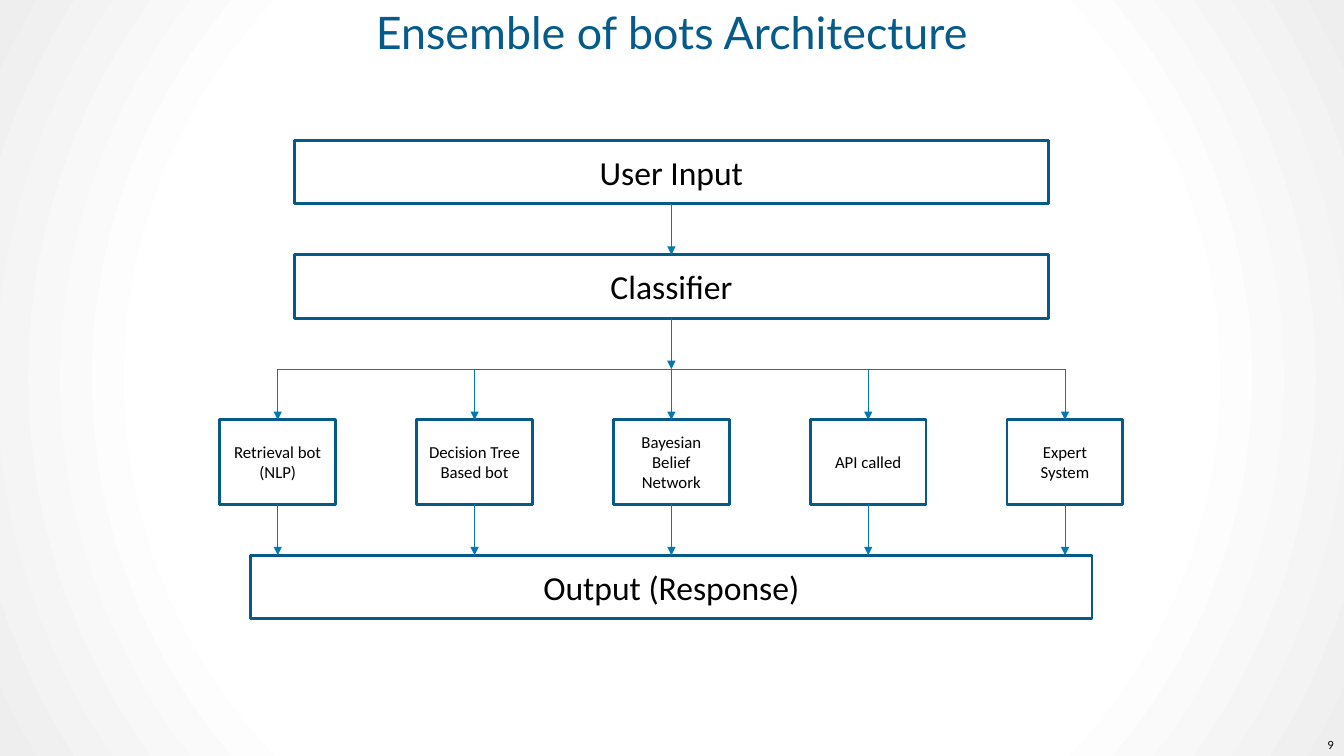
import lxml.etree
import pptx
import pptx.dml.color
import pptx.enum.shapes
import pptx.enum.text
import pptx.oxml.ns
import pptx.util

Cm = pptx.util.Cm
Pt = pptx.util.Pt
qn = pptx.oxml.ns.qn
ANCHOR = pptx.enum.text.MSO_ANCHOR
ALIGN = pptx.enum.text.PP_ALIGN

TITLE = "Ensemble of bots Architecture"
PAGE_NUMBER = "9"
INPUT, CLASSIFIER, OUTPUT = "User Input", "Classifier", "Output (Response)"
BOTS = [
    "Retrieval bot\n(NLP)",
    "Decision Tree Based bot",
    "Bayesian Belief Network",
    "API called",
    "Expert System",
]
BACKGROUND_STOPS = [(0.67, "FFFFFF"), (1, "EEEEEE")]
BOX_LINE, ARROW_LINE = "055A87", "0378B7"

TITLE_FORMAT = {"name": "Lato", "size": Pt(32), "color": "055B89"}
NUMBER_FORMAT = {"name": "Lato", "size": Pt(8), "color": "000000"}
STAGE_FORMAT = {"name": "Calibri", "size": Pt(24), "color": "000000"}
BOT_FORMAT = {"name": "Calibri", "size": Pt(12), "color": "000000"}

# All lengths below are centimetres
SLIDE_WIDTH, SLIDE_HEIGHT = 33.87, 19.05
CENTER = 16.92
STAGE_WIDTH, OUTPUT_WIDTH, STAGE_HEIGHT = 19, 21.2, 1.6
BOT_WIDTH, BOT_HEIGHT, BOT_PITCH = 2.92, 2.13, 4.96
GAP = 1.28

INPUT_TOP = 3.54
CLASSIFIER_TOP = INPUT_TOP + STAGE_HEIGHT + GAP
BUS_TOP = CLASSIFIER_TOP + STAGE_HEIGHT + GAP
BOT_TOP = BUS_TOP + GAP
OUTPUT_TOP = BOT_TOP + BOT_HEIGHT + GAP
BOT_CENTERS = [CENTER + (i - (len(BOTS) - 1) / 2) * BOT_PITCH for i in range(len(BOTS))]


def rgb(color):
    return pptx.dml.color.RGBColor.from_string(color)


def paint_background(slide):
    """Fill the slide with a gradient that spreads in circles from its middle."""
    fill = slide.background.fill
    fill.gradient()
    for stop, (position, color) in zip(fill.gradient_stops, BACKGROUND_STOPS):
        stop.position = position
        stop.color.rgb = rgb(color)
    linear = next(slide.element.iter(qn("a:lin")))
    gradient = linear.getparent()
    circle = lxml.etree.SubElement(gradient, qn("a:path"), {"path": "circle"})
    lxml.etree.SubElement(circle, qn("a:fillToRect"), dict.fromkeys("ltrb", "50000"))
    gradient.replace(linear, circle)


def write_text(shape, text, text_format, alignment, anchor):
    frame = shape.text_frame
    frame.word_wrap = True
    frame.vertical_anchor = anchor
    frame.text = text
    for paragraph in frame.paragraphs:
        paragraph.alignment = alignment
        for name, value in text_format.items():
            if name == "color":
                paragraph.font.color.rgb = rgb(value)
            else:
                setattr(paragraph.font, name, value)


def add_label(slide, place, text, text_format, alignment, anchor):
    label = slide.shapes.add_textbox(*map(Cm, place))
    write_text(label, text, text_format, alignment, anchor)


def add_box(slide, center, top, width, height, text, text_format):
    box = slide.shapes.add_shape(
        pptx.enum.shapes.MSO_SHAPE.RECTANGLE,
        Cm(center - width / 2), Cm(top), Cm(width), Cm(height),
    )
    box.shadow.inherit = False
    box.fill.background()
    box.line.color.rgb = rgb(BOX_LINE)
    box.line.width = Pt(2)
    write_text(box, text, text_format, ALIGN.CENTER, ANCHOR.MIDDLE)


def add_line(slide, start, end, arrow=True):
    connector = slide.shapes.add_connector(
        pptx.enum.shapes.MSO_CONNECTOR.STRAIGHT, *map(Cm, start + end)
    )
    connector.line.color.rgb = rgb(ARROW_LINE)
    connector.line.width = Pt(0.75)
    properties = connector.element.spPr
    if arrow:
        outline = properties.find(qn("a:ln"))
        lxml.etree.SubElement(outline, qn("a:tailEnd"), {"type": "triangle"})
    lxml.etree.SubElement(properties, qn("a:effectLst"))


def add_down_arrow(slide, center, top):
    add_line(slide, (center, top), (center, top + GAP))


def main():
    presentation = pptx.Presentation()
    presentation.slide_width = Cm(SLIDE_WIDTH)
    presentation.slide_height = Cm(SLIDE_HEIGHT)
    slide = presentation.slides.add_slide(presentation.slide_layouts[6])
    paint_background(slide)

    add_label(slide, (0, 0, SLIDE_WIDTH, 1.98), TITLE, TITLE_FORMAT,
              ALIGN.CENTER, ANCHOR.TOP)
    add_label(slide, (32.74, 18.52, 1.13, 0.5), PAGE_NUMBER, NUMBER_FORMAT,
              ALIGN.RIGHT, ANCHOR.MIDDLE)

    for text, top, width in [
        (INPUT, INPUT_TOP, STAGE_WIDTH),
        (CLASSIFIER, CLASSIFIER_TOP, STAGE_WIDTH),
        (OUTPUT, OUTPUT_TOP, OUTPUT_WIDTH),
    ]:
        add_box(slide, CENTER, top, width, STAGE_HEIGHT, text, STAGE_FORMAT)

    for top in (INPUT_TOP, CLASSIFIER_TOP):
        add_down_arrow(slide, CENTER, top + STAGE_HEIGHT)
    add_line(slide, (BOT_CENTERS[0], BUS_TOP), (BOT_CENTERS[-1], BUS_TOP), arrow=False)

    for text, center in zip(BOTS, BOT_CENTERS):
        add_box(slide, center, BOT_TOP, BOT_WIDTH, BOT_HEIGHT, text, BOT_FORMAT)
        add_down_arrow(slide, center, BUS_TOP)
        add_down_arrow(slide, center, BOT_TOP + BOT_HEIGHT)

    presentation.save("out.pptx")


if __name__ == "__main__":
    main()
